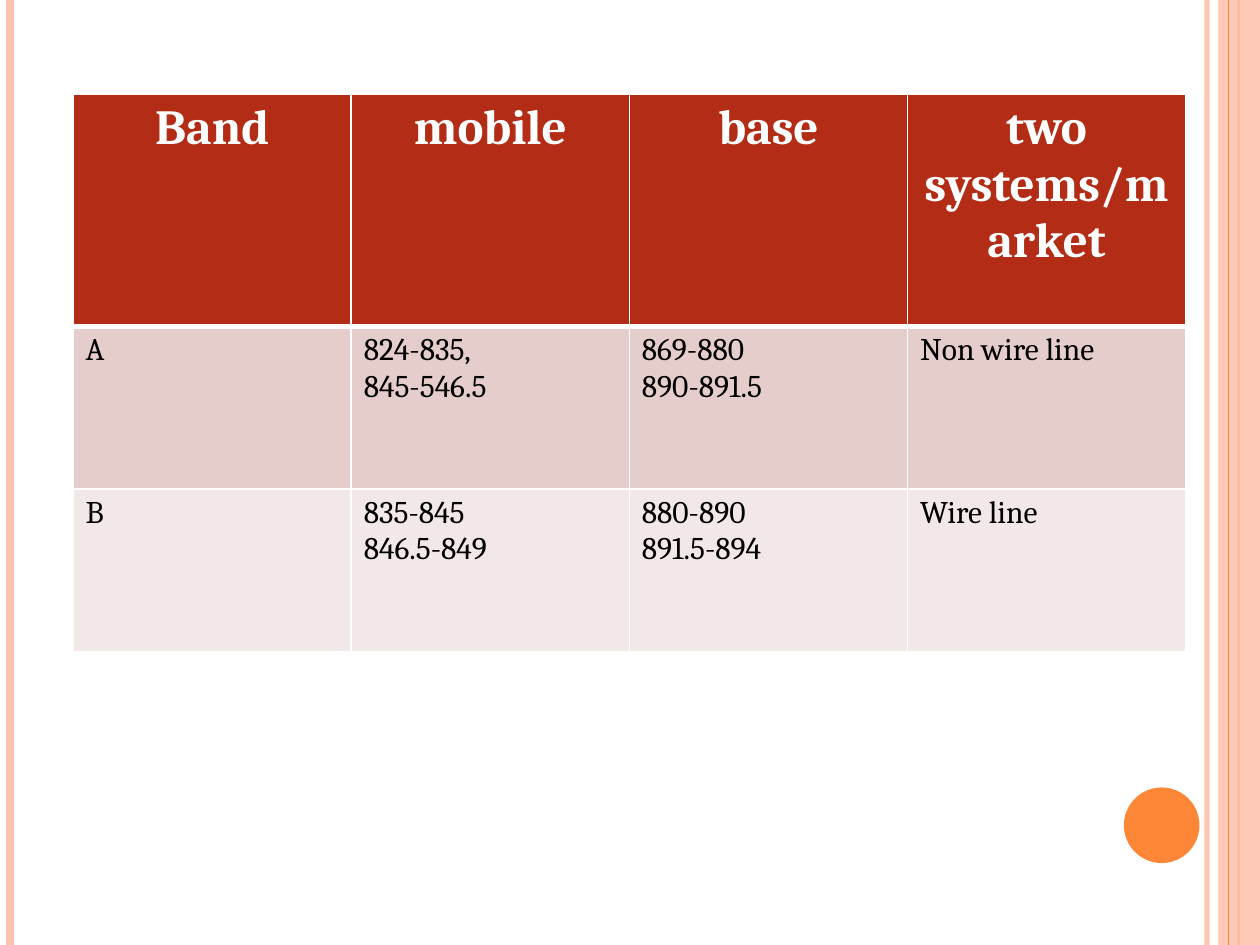
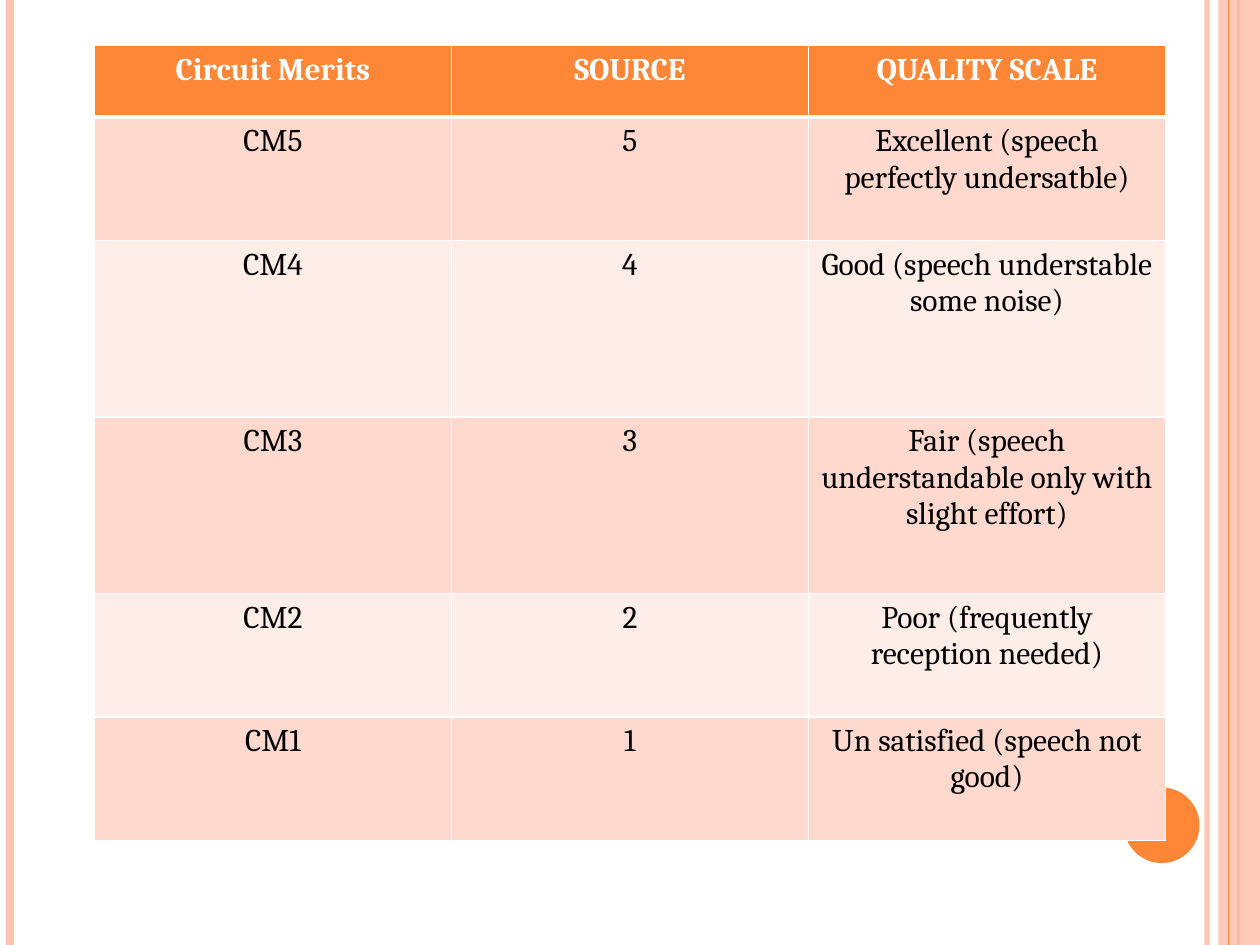
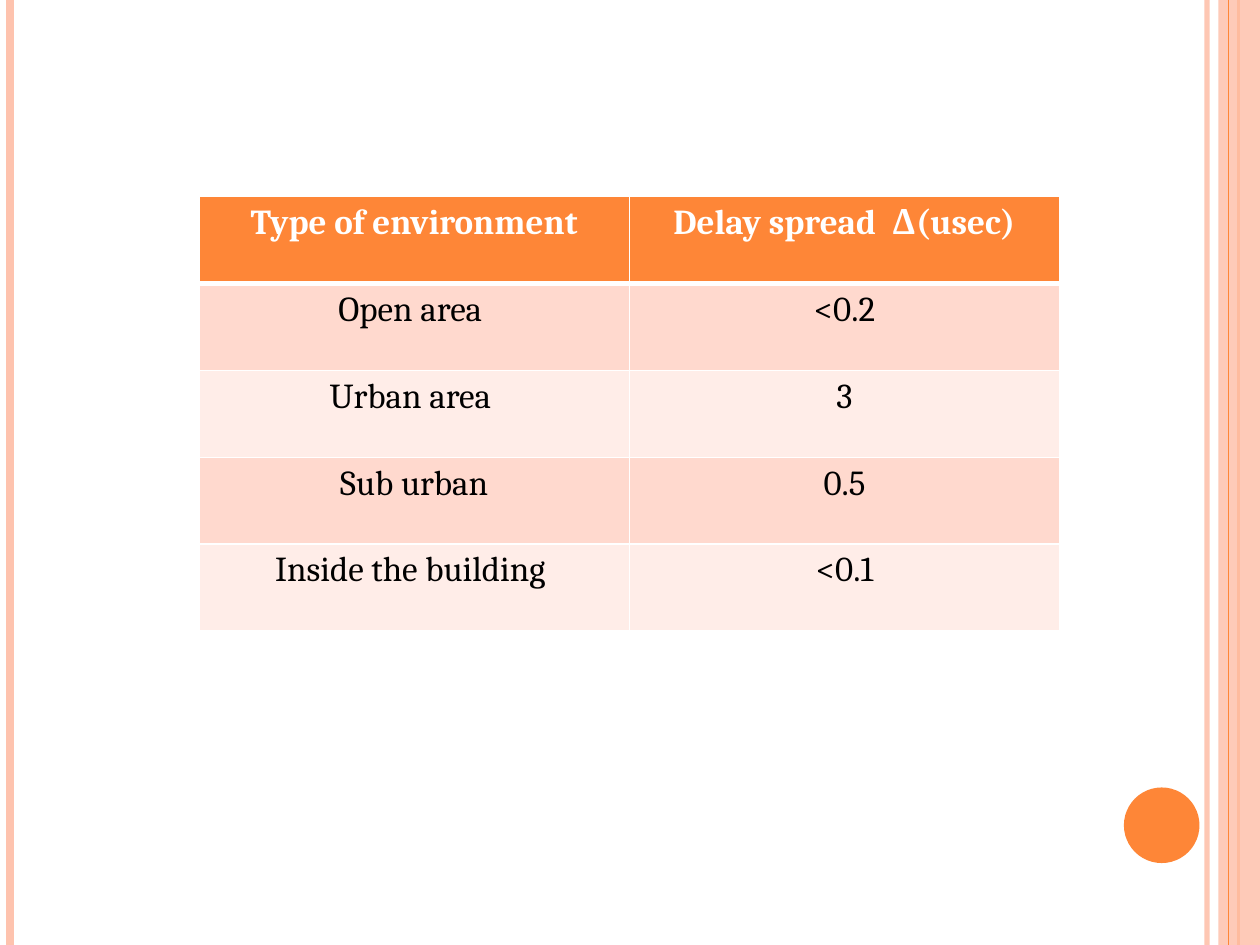
from lxml import etree
from pptx import Presentation
from pptx.dml.color import RGBColor
from pptx.enum.shapes import MSO_CONNECTOR, MSO_SHAPE
from pptx.enum.text import PP_ALIGN
from pptx.oxml.ns import qn
from pptx.util import Inches, Pt

FONT = "Cambria"
WHITE = RGBColor(0xFF, 0xFF, 0xFF)
BLACK = RGBColor(0x00, 0x00, 0x00)
ORANGE = RGBColor(0xFE, 0x86, 0x37)
PEACH = RGBColor(0xFE, 0xC3, 0xAE)
BRICK = RGBColor(0xB3, 0x2C, 0x16)
BRICK_BANDS = (RGBColor(0xE5, 0xCD, 0xCC), RGBColor(0xF2, 0xE8, 0xE8))
ORANGE_BANDS = (RGBColor(0xFF, 0xD9, 0xCE), RGBColor(0xFF, 0xED, 0xE8))

SLIDE_WIDTH, SLIDE_HEIGHT = 10, 7.5

TABLES = [
    dict(
        left=0.58, top=0.75, width=8.83, row_heights=[1.84, 1.29, 1.29],
        header_fill=BRICK, bands=BRICK_BANDS,
        header_size=28, body_size=18, body_align=PP_ALIGN.LEFT,
        rows=[
            ("Band", "mobile", "base", "two systems/market"),
            ("A", "824-835,\n845-546.5", "869-880\n890-891.5", "Non wire line"),
            ("B", "835-845\n846.5-849", "880-890\n891.5-894", "Wire line"),
        ],
    ),
    dict(
        left=0.75, top=0.36, width=8.5,
        row_heights=[0.57, 0.98, 1.4, 1.4, 0.98, 0.98],
        header_fill=ORANGE, bands=ORANGE_BANDS,
        header_size=18, body_size=18, body_align=PP_ALIGN.CENTER,
        rows=[
            ("Circuit Merits", "SOURCE", "QUALITY SCALE"),
            ("CM5", "5", "Excellent (speech perfectly undersatble)"),
            ("CM4", "4", "Good (speech understable some noise)"),
            ("CM3", "3", "Fair (speech understandable only with slight effort)"),
            ("CM2", "2", "Poor (frequently reception needed)"),
            ("CM1", "1", "Un satisfied (speech not good)"),
        ],
    ),
    dict(
        left=1.58, top=1.56, width=6.83, row_heights=[0.69] * 5,
        header_fill=ORANGE, bands=ORANGE_BANDS,
        header_size=20, body_size=20, body_align=PP_ALIGN.CENTER,
        rows=[
            ("Type of environment", "Delay spread  Δ(usec)"),
            ("Open area ", "<0.2"),
            ("Urban area ", "3"),
            ("Sub urban", "0.5"),
            ("Inside the building ", "<0.1"),
        ],
    ),
]


def write_text(frame, text, *, size, color, bold=False, align=PP_ALIGN.LEFT):
    frame.text = text
    for paragraph in frame.paragraphs:
        paragraph.alignment = align
        for run in paragraph.runs:
            run.font.name = FONT
            run.font.size = Pt(size)
            run.font.bold = bold
            run.font.color.rgb = color


def set_alpha(fill_parent, percent):
    """Make the solid colour inside the given element partly transparent."""
    color = next(fill_parent.iter(qn("a:srgbClr")))
    etree.SubElement(color, qn("a:alpha"), val=str(percent * 1000))


def add_rule(slide, x, color, weight, alpha=100):
    """Draw a line over the full height of the slide."""
    rule = slide.shapes.add_connector(
        MSO_CONNECTOR.STRAIGHT, Inches(x), 0, Inches(x), Inches(SLIDE_HEIGHT))
    rule.line.color.rgb = color
    rule.line.width = Pt(weight)
    properties = rule._element.spPr
    if alpha < 100:
        set_alpha(properties, alpha)
    etree.SubElement(properties, qn("a:effectLst"))


def add_filled(slide, preset, left, top, width, height, color):
    shape = slide.shapes.add_shape(
        preset, Inches(left), Inches(top), Inches(width), Inches(height))
    shape.shadow.inherit = False
    shape.fill.solid()
    shape.fill.fore_color.rgb = color
    shape.line.fill.background()
    return shape


def add_frame(slide):
    """Draw the side rules, the right band and the disc shared by all slides."""
    add_rule(slide, 9.58, PEACH, 3, alpha=93)
    add_rule(slide, 0.08, PEACH, 4.5)
    add_rule(slide, 9.83, ORANGE, 1.5)
    band = add_filled(slide, MSO_SHAPE.RECTANGLE,
                      9.67, 0, SLIDE_WIDTH - 9.67, SLIDE_HEIGHT, PEACH)
    set_alpha(band._element.spPr, 87)
    add_rule(slide, 9.75, ORANGE, 0.75)
    add_filled(slide, MSO_SHAPE.OVAL, 8.92, 6.25, 0.6, 0.6, ORANGE)


def set_borders(cell, top, bottom):
    properties = cell._tc.get_or_add_tcPr()
    weights = {"lnL": 1, "lnR": 1, "lnT": top, "lnB": bottom}
    for position, (side, weight) in enumerate(weights.items()):
        border = etree.Element(qn(f"a:{side}"), w=str(Pt(weight)))
        fill = etree.SubElement(border, qn("a:solidFill"))
        etree.SubElement(fill, qn("a:srgbClr"), val=str(WHITE))
        properties.insert(position, border)


def add_banded_table(slide, content):
    rows, heights = content["rows"], content["row_heights"]
    column_count = len(rows[0])
    table = slide.shapes.add_table(
        len(rows), column_count, Inches(content["left"]), Inches(content["top"]),
        Inches(content["width"]), Inches(sum(heights))).table
    for column in table.columns:
        column.width = Inches(content["width"] / column_count)
    header_format = dict(size=content["header_size"], color=WHITE, bold=True,
                         align=PP_ALIGN.CENTER)
    body_format = dict(size=content["body_size"], color=BLACK,
                       align=content["body_align"])
    for r, (texts, height) in enumerate(zip(rows, heights)):
        is_header = r == 0
        table.rows[r].height = Inches(height)
        for c, text in enumerate(texts):
            cell = table.cell(r, c)
            cell.fill.solid()
            cell.fill.fore_color.rgb = (
                content["header_fill"] if is_header else content["bands"][(r - 1) % 2])
            set_borders(cell, top=3 if r == 1 else 1, bottom=3 if is_header else 1)
            write_text(cell.text_frame, text,
                       **(header_format if is_header else body_format))


def main():
    deck = Presentation()
    deck.slide_width, deck.slide_height = Inches(SLIDE_WIDTH), Inches(SLIDE_HEIGHT)
    blank = deck.slide_layouts[6]
    for content in TABLES:
        slide = deck.slides.add_slide(blank)
        add_frame(slide)
        add_banded_table(slide, content)
    deck.save("out.pptx")


if __name__ == "__main__":
    main()
